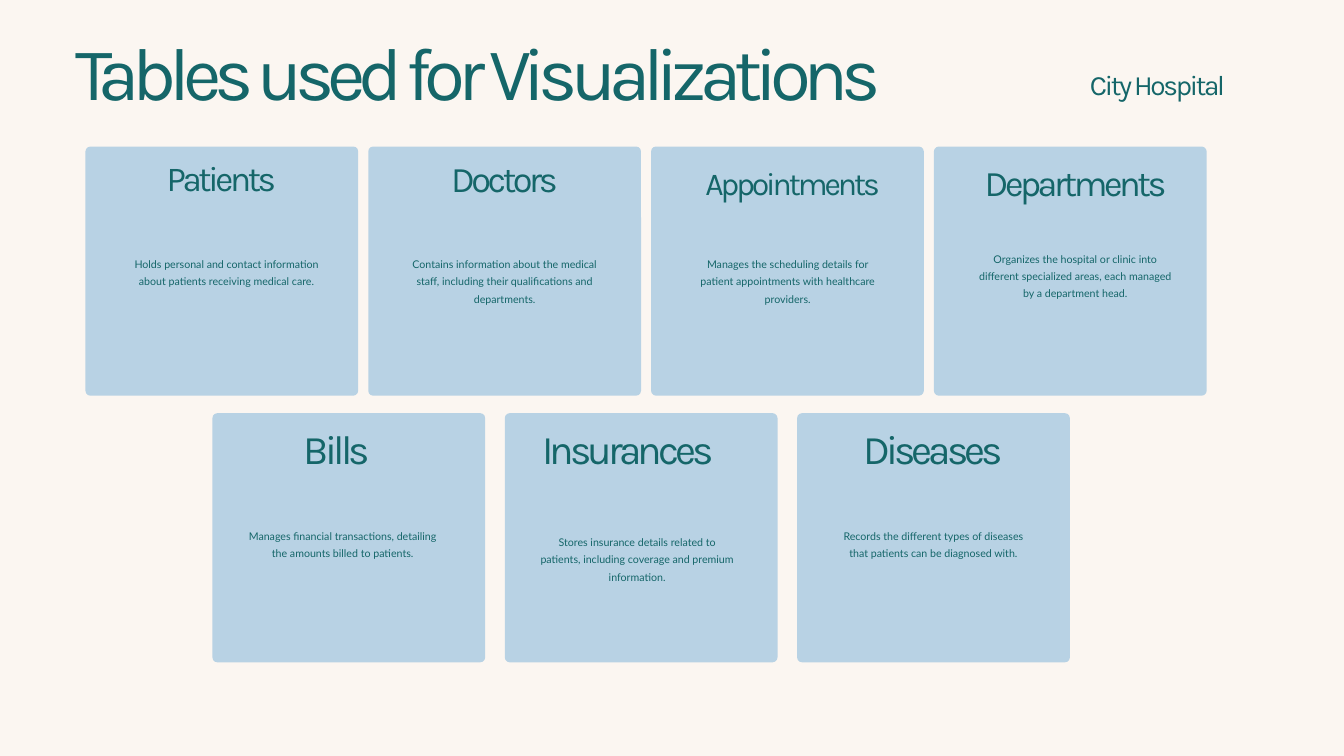
from pptx import Presentation
from pptx.dml.color import RGBColor
from pptx.enum import shapes, text
from pptx.util import Cm, Pt

TEAL, BLUE, CREAM = "156669", "B8D2E4", "FBF6F1"
CARD_W, CARD_H = 10.31, 9.42
NOTE_W, NOTE_H = 7.37, 1.98

# Row: left, top, step, cards.
# Card: name, size, name width, name offset, note offset, note.
ROWS = [
    (3.23, 5.54, 10.69, [
        ("Patients", 37.6, 4.85, (2.71, 0.71), (1.65, 4.04),
         "Holds personal and contact information about patients "
         "receiving medical care."),
        ("Doctors", 38.6, 4.85, (2.72, 0.71), (1.47, 4.04),
         "Contains information about the medical staff, including their "
         "qualifications and departments."),
        ("Appointments", 34.2, 6.68, (2.01, 0.94), (1.48, 4.04),
         "Manages the scheduling details for patient appointments with "
         "healthcare providers."),
        ("Departments", 38.6, 7.39, (1.66, 0.84), (1.66, 3.83),
         "Organizes the hospital or clinic into different specialized "
         "areas, each managed by a department head."),
    ]),
    (8.03, 15.62, 11.05, [
        ("Bills", 43.6, 4.85, (2.28, 0.79), (1.24, 4.24),
         "Manages financial transactions, detailing the amounts billed "
         "to patients."),
        ("Insurances", 43.6, 6.68, (1.32, 0.79), (1.32, 4.47),
         "Stores insurance details related to patients, including "
         "coverage and premium information."),
        ("Diseases", 43.6, 5.77, (2.26, 0.79), (1.47, 4.24),
         "Records the different types of diseases that patients can be "
         "diagnosed with."),
    ]),
]


def paint(fill, color):
    fill.solid()
    fill.fore_color.rgb = RGBColor.from_string(color)


def write(slide, words, left, top, width, height, size, font, lead,
          track=0, center=True):
    """Add a text box; lead and track are the line and letter spacing in pt."""
    box = slide.shapes.add_textbox(Cm(left), Cm(top), Cm(width), Cm(height))
    frame = box.text_frame
    frame.margin_left = frame.margin_right = 0
    frame.margin_top = frame.margin_bottom = 0
    frame.word_wrap = True
    frame.auto_size = text.MSO_AUTO_SIZE.SHAPE_TO_FIT_TEXT
    para = frame.paragraphs[0]
    run = para.add_run()
    run.text = words
    if track:
        run._r.get_or_add_rPr().set("spc", str(round(track * 100)))
    para.alignment = text.PP_ALIGN.CENTER if center else text.PP_ALIGN.LEFT
    para.line_spacing = Pt(lead)
    para.font.name = font
    para.font.size = Pt(size)
    para.font.color.rgb = RGBColor.from_string(TEAL)


def head(slide, words, left, top, width, height, size, center=True):
    write(slide, words, left, top, width, height, size, "Karla",
          size * 0.96, size * -0.096, center)


def panel(slide, left, top):
    shape = slide.shapes.add_shape(
        shapes.MSO_SHAPE.ROUNDED_RECTANGLE,
        Cm(left), Cm(top), Cm(CARD_W), Cm(CARD_H))
    shape.adjustments[0] = 0.02
    shape.shadow.inherit = False
    paint(shape.fill, BLUE)
    shape.line.fill.background()


def card(slide, left, top, name, size, width, name_off, note_off, note):
    panel(slide, left, top)
    head(slide, name, left + name_off[0], top + name_off[1],
         width, size * 0.036, size)
    write(slide, note, left + note_off[0], top + note_off[1],
          NOTE_W, NOTE_H, 11.4, "Lato", 18.6)


def main():
    deck = Presentation()
    deck.slide_width, deck.slide_height = Cm(50.8), Cm(28.58)
    slide = deck.slides.add_slide(deck.slide_layouts[6])
    paint(slide.background.fill, CREAM)
    head(slide, "Tables used for Visualizations",
         2.84, 1.65, 32.41, 2.9, 80, center=False)
    write(slide, "City Hospital", 41.2, 2.84, 5.89, 1.09, 30, "Karla",
          27.9, -2.5, center=False)
    for left, top, step, cards in ROWS:
        for i, item in enumerate(cards):
            card(slide, left + i * step, top, *item)
    deck.save("out.pptx")


if __name__ == "__main__":
    main()
